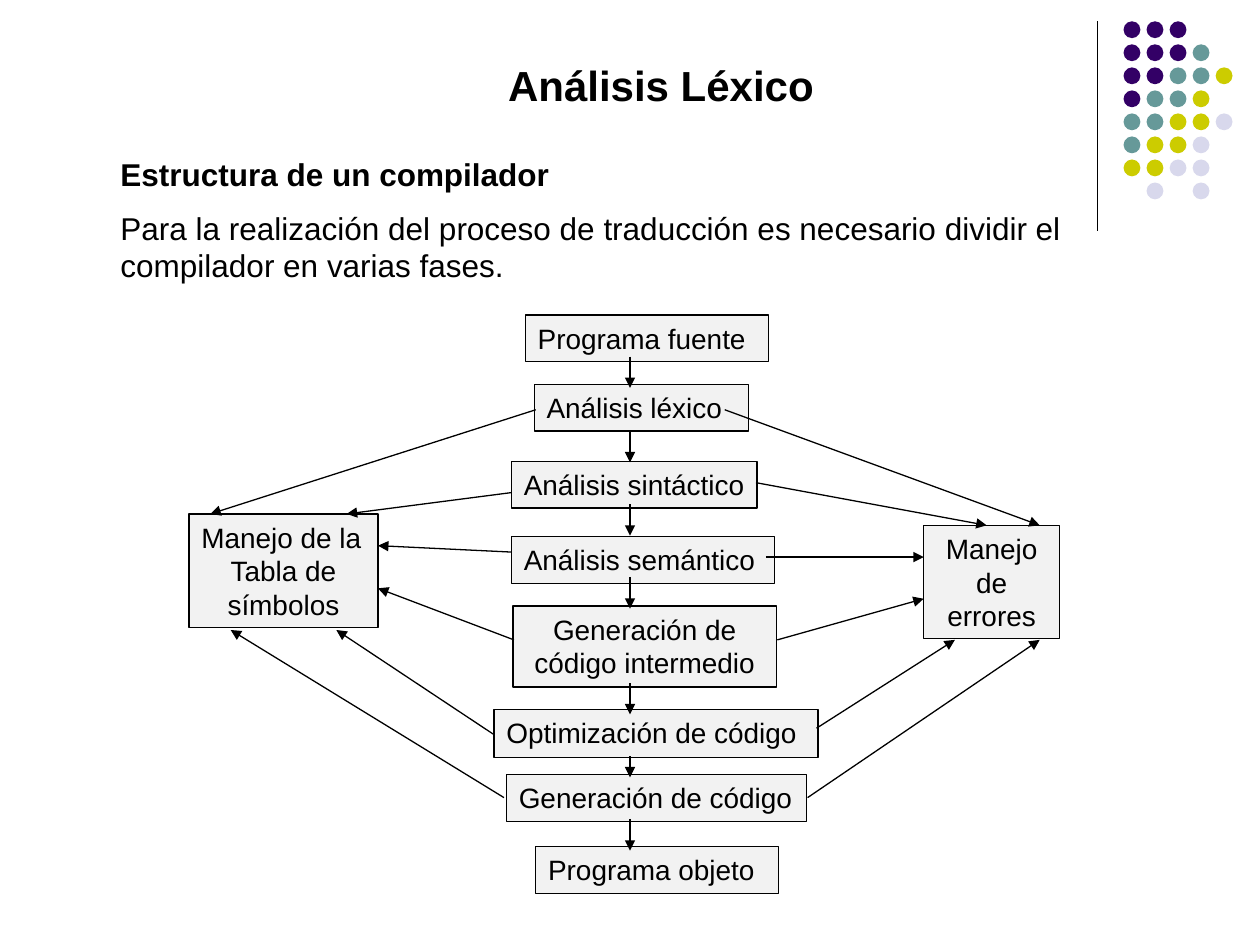
from dataclasses import dataclass

from lxml.etree import SubElement
from pptx import Presentation
from pptx.dml.color import RGBColor
from pptx.enum.shapes import MSO_CONNECTOR as CONN, MSO_SHAPE as SHAPE
from pptx.enum.text import MSO_ANCHOR as ANCHOR, PP_ALIGN as ALIGN
from pptx.oxml.ns import qn
from pptx.util import Cm, Pt


@dataclass(frozen=True)
class Theme:
    """Colours, font and sizes used on the slide."""
    font: str = "Arial"
    ink: str = "000000"
    box: str = "F2F2F2"
    dots: tuple = ("330066", "669999", "CCCC00", "D8D8EC")
    title: int = 24
    body: int = 18
    label: int = 16
    line: float = 0.75


T = Theme()
L, C = ALIGN.LEFT, ALIGN.CENTER

# One digit per dot: index of its colour
DOT_ROWS = ("000", "0001", "00112", "0112", "11223", "1223", "2233", " 3 3")

# Text, left, top, width, height, alignment
STAGES = (
    ("Programa fuente", 6.78, 0, 4.9, 0.94, L),
    ("Análisis léxico", 6.96, 1.4, 4.32, 0.94, L),
    ("Análisis sintáctico", 6.5, 2.95, 4.95, 0.94, L),
    ("Análisis semántico", 6.5, 4.47, 5.31, 0.94, L),
    ("Generación de código intermedio", 6.53, 5.87, 5.31, 1.63, C),
    ("Optimización de código", 6.15, 7.95, 6.53, 0.97, L),
    ("Generación de código", 6.4, 9.27, 6.05, 0.94, L),
    ("Programa objeto", 6.99, 10.72, 4.9, 0.94, L),
    ("Manejo de errores", 14.81, 4.24, 2.74, 2.29, C),
)
SYMBOL_TABLE = (0, 4.01, 3.81, 2.29)

FLOW_X = 8.89
FLOW_STEPS = ((0.84, 1.47), (2.34, 2.97), (3.81, 4.45), (5.28, 5.92),
              (7.42, 8.05), (8.89, 9.32), (10.16, 10.8))
TO_SYMBOLS = (
    (6.99, 1.91, 0.43, 4.01), (6.5, 3.58, 3.18, 4.01),
    (6.5, 4.78, 3.81, 4.65), (6.55, 6.55, 3.81, 5.51),
    (6.15, 8.46, 2.97, 6.35), (6.35, 9.73, 0.84, 6.35),
)
TO_ERRORS = (
    (10.8, 1.91, 17.15, 4.24), (11.43, 3.38, 16.08, 4.24),
    (11.63, 4.88, 14.81, 4.88), (11.86, 6.55, 14.81, 5.72),
    (12.65, 8.33, 15.44, 6.55), (12.47, 9.73, 17.15, 6.55),
)


def apply(obj, **values):
    """Set several attributes on one object."""
    for name, value in values.items():
        setattr(obj, name, value)


def write(tf, paras, wrap=True):
    """Fill a text frame with (text, size, bold, alignment, space before)."""
    apply(tf, word_wrap=wrap, vertical_anchor=ANCHOR.TOP)
    for i, (text, size, bold, align, before) in enumerate(paras):
        p = tf.add_paragraph() if i else tf.paragraphs[0]
        apply(p, alignment=align, space_before=Pt(before))
        r = p.add_run()
        r.text = text
        apply(r.font, name=T.font, size=Pt(size), bold=bold)
        r.font.color.rgb = RGBColor.from_string(T.ink)


def add_shape(s, kind, box, fill):
    """Add a flat filled shape without outline."""
    sp = s.shapes.add_shape(kind, *map(Cm, box))
    sp.shadow.inherit = False
    sp.fill.solid()
    sp.fill.fore_color.rgb = RGBColor.from_string(fill)
    sp.line.fill.background()
    return sp


def add_line(s, x1, y1, x2, y2, arrow=False):
    """Add a thin straight line, with an arrowhead at its end if asked."""
    cn = s.shapes.add_connector(CONN.STRAIGHT, *map(Cm, (x1, y1, x2, y2)))
    cn.line.width = Pt(T.line)
    cn.line.color.rgb = RGBColor.from_string(T.ink)
    if arrow:
        SubElement(cn.line._get_or_add_ln(), qn("a:tailEnd"), type="triangle")
    SubElement(cn._element.spPr, qn("a:effectLst"))


def add_box(s, box, paras):
    """Add an outlined diagram box with label paragraphs of (text, alignment)."""
    sp = add_shape(s, SHAPE.RECTANGLE, box, T.box)
    sp.line.width = Pt(T.line)
    sp.line.color.rgb = RGBColor.from_string(T.ink)
    write(sp.text_frame, [(t, T.label, False, a, 0) for t, a in paras])


def ornament(s, x, y, height):
    """Draw the vertical rule and the grid of coloured dots beside it."""
    add_line(s, x, y, x, y + height)
    size, pitch, gap = 0.34, 3.25 / 7, 0.53
    for row, codes in enumerate(DOT_ROWS):
        for col, code in enumerate(codes):
            if code != " ":
                box = (x + gap + col * pitch, y + row * pitch, size, size)
                add_shape(s, SHAPE.OVAL, box, T.dots[int(code)])


def heading(s, x, y, w, h):
    """Write the slide title."""
    tb = s.shapes.add_textbox(*map(Cm, (x, y, w, h)))
    write(tb.text_frame, [("Análisis Léxico", T.title, True, C, 0)], wrap=False)


def intro(s, x, y, w, h):
    """Write the subtitle and the introductory sentence."""
    tb = s.shapes.add_textbox(*map(Cm, (x, y, w, h)))
    write(tb.text_frame, [
        ("Estructura de un compilador", T.body, True, L, 0),
        ("Para la realización del proceso de traducción es necesario "
         "dividir el compilador en varias fases.", T.body, False, L, 9),
    ])


def compiler_diagram(s, x, y):
    """Draw the compiler phases, both side boxes and all arrows."""
    for text, left, top, w, h, align in STAGES:
        add_box(s, (x + left, y + top, w, h), [(text, align)])
    left, top, w, h = SYMBOL_TABLE
    add_box(s, (x + left, y + top, w, h),
            [("Manejo de la", L), ("Tabla de símbolos", C)])
    flow = tuple((FLOW_X, y1, FLOW_X, y2) for y1, y2 in FLOW_STEPS)
    for x1, y1, x2, y2 in flow + TO_SYMBOLS + TO_ERRORS:
        add_line(s, x + x1, y + y1, x + x2, y + y2, arrow=True)


def main():
    """Build the slide and save it."""
    prs = Presentation()
    apply(prs, slide_width=Cm(25.4), slide_height=Cm(19.05))
    s = prs.slides.add_slide(prs.slide_layouts[6])
    ornament(s, 22.12, 0.43, 4.22)
    heading(s, 9.96, 1.07, 6.73, 1.27)
    intro(s, 2.18, 3, 21.59, 3.02)
    compiler_diagram(s, 3.81, 6.35)
    prs.save("out.pptx")


main()
